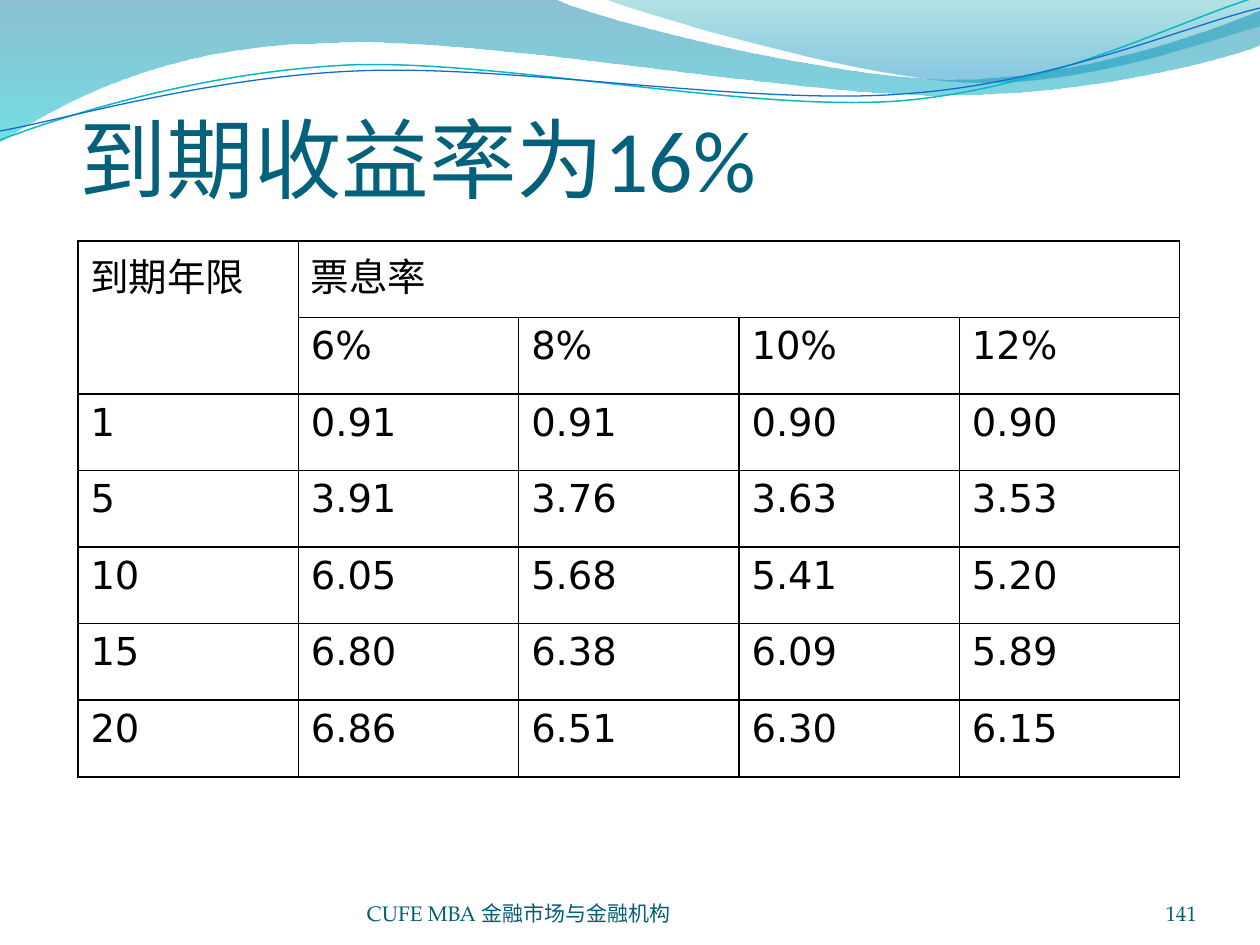
from lxml import etree
from pptx import Presentation
from pptx import util as u
from pptx.dml.color import RGBColor
from pptx.enum import text
from pptx.oxml.ns import qn

SCALE = 914400 / 126  # EMU per px
COLORS = {
    "title": "04617B", "footer": "045D75", "ink": "000000",
    "deep_blue": "0074A1", "cyan": "00C6CF", "teal": "00A1A9", "blue": "008BBF",
    "teal_line": "0AB8BF", "blue_line": "0F6FC6",
}


def px(length):
    return u.Emu(round(length * SCALE))


def rgb(name):
    return RGBColor.from_string(COLORS[name])


def write(frame, words, font, size, color, align=text.PP_ALIGN.LEFT):
    para = frame.paragraphs[0]
    para.alignment = align
    span = para.add_run()
    span.text = words
    span.font.name = font
    span.font.size = u.Pt(size)
    span.font.bold = False
    span.font.color.rgb = rgb(color)


class Page:
    def __init__(self, deck):
        self.slide = deck.slides.add_slide(deck.slide_layouts[6])

    def outline(self, start, parts, close):
        """Path of parts: one point makes a line, three make a cubic curve."""
        builder = self.slide.shapes.build_freeform(*map(px, start), scale=1.0)
        points = [(px(x), px(y)) for part in parts for x, y in part]
        builder.add_line_segments(points, close=close)
        shape = builder.convert_to_shape()
        shape.shadow.inherit = False
        segments = iter(list(shape._element.iter(qn("a:lnTo"))))
        for part in parts:
            steps = [next(segments) for _ in part]
            if len(part) == 3:
                curve = etree.Element(qn("a:cubicBezTo"))
                steps[0].addprevious(curve)
                for step in steps:
                    curve.append(step[0])
                    step.getparent().remove(step)
        return shape

    def wave(self, start, parts, stops):
        """Filled outline; stops are (position, color, opacity percent), top to bottom."""
        shape = self.outline(start, parts, True)
        shape.line.fill.background()
        shape.fill.gradient()
        shape.fill.gradient_angle = 270
        for stop, (position, color, _) in zip(shape.fill.gradient_stops, stops):
            stop.position = position
            stop.color.rgb = rgb(color)
        marks = shape._element.spPr.iter(qn("a:srgbClr"))
        for mark, (_, _, opacity) in zip(marks, stops):
            etree.SubElement(mark, qn("a:alpha"), val=str(opacity * 1000))

    def strand(self, start, parts, color, width):
        shape = self.outline(start, parts, False)
        shape.fill.background()
        shape.line.color.rgb = rgb(color)
        shape.line.width = u.Pt(width)

    def label(self, area, words, top_inset=0, **style):
        box = self.slide.shapes.add_textbox(*map(px, area))
        frame = box.text_frame
        frame.word_wrap = True
        frame.auto_size = text.MSO_AUTO_SIZE.NONE
        frame.vertical_anchor = text.MSO_ANCHOR.BOTTOM
        frame.margin_left = frame.margin_right = frame.margin_bottom = 0
        frame.margin_top = px(top_inset)
        write(frame, words, **style)

    def table(self, area, rows, merges, **style):
        """Plain grid; merges are (first row, first column, last row, last column)."""
        shape = self.slide.shapes.add_table(len(rows), len(rows[0]), *map(px, area))
        grid = shape.table
        grid.first_row = grid.horz_banding = False
        for top, left, bottom, right in merges:
            grid.cell(top, left).merge(grid.cell(bottom, right))
        for r, row in enumerate(rows):
            for c, words in enumerate(row):
                cell = grid.cell(r, c)
                cell.fill.background()
                self.border(cell, "ink", 1)
                if words:
                    write(cell.text_frame, words, **style)

    def border(self, cell, color, width):
        props = cell._tc.get_or_add_tcPr()
        for index, side in enumerate(("lnL", "lnR", "lnT", "lnB")):
            line = etree.Element(qn("a:" + side), w=str(u.Pt(width)))
            fill = etree.SubElement(line, qn("a:solidFill"))
            etree.SubElement(fill, qn("a:srgbClr"), val=COLORS[color])
            props.insert(index, line)


def main():
    deck = Presentation()
    deck.slide_width, deck.slide_height = u.Inches(10), u.Inches(7.5)
    page = Page(deck)

    page.wave((0, 0), [
        [(554, -1)],
        [(600, 21), (837, 79), (955, 79)],
        [(1075, 79), (1207, 33), (1260, 11)],
        [(1261, 45)],
        [(1239, 55), (1096, 96), (940, 95)],
        [(784, 95), (481, 35), (324, 43)],
        [(163, 45), (58, 105), (-1, 142)],
    ], [(0, "deep_blue", 45), (1, "cyan", 55)])
    page.wave((604, -1), [
        [(641, 14), (859, 78), (969, 82)],
        [(1079, 87), (1211, 40), (1260, 26)],
        [(1260, 0)],
    ], [(0, "teal", 30), (0.8, "blue", 45)])
    page.strand((0, 140), [
        [(60, 117), (199, 72), (349, 65)],
        [(498, 59), (747, 112), (898, 101)],
        [(1050, 89), (1182, 19), (1257, -3)],
    ], "teal_line", 0.85)
    page.strand((0, 131), [
        [(59, 121), (207, 77), (357, 71)],
        [(508, 64), (752, 106), (903, 94)],
        [(1053, 84), (1186, 26), (1260, 8)],
    ], "blue_line", 0.75)

    page.label((79, 42, 1102, 168), "到期收益率为16%", top_inset=6,
               font="Calibri", size=50, color="title")
    page.table((78, 241, 1102, 536), [
        ("到期年限", "票息率", "", "", ""),
        ("", "6%", "8%", "10%", "12%"),
        ("1", "0.91", "0.91", "0.90", "0.90"),
        ("5", "3.91", "3.76", "3.63", "3.53"),
        ("10", "6.05", "5.68", "5.41", "5.20"),
        ("15", "6.80", "6.38", "6.09", "5.89"),
        ("20", "6.86", "6.51", "6.30", "6.15"),
    ], merges=[(0, 0, 1, 0), (0, 1, 0, 4)], font="DejaVu Sans", size=22, color="ink")

    footer = {"font": "TeX Gyre Pagella", "size": 12, "color": "footer"}
    page.label((367, 876, 462, 50), "CUFE MBA 金融市场与金融机构", **footer)
    page.label((1092, 876, 105, 50), "141", align=text.PP_ALIGN.RIGHT, **footer)
    deck.save("out.pptx")


if __name__ == "__main__":
    main()
